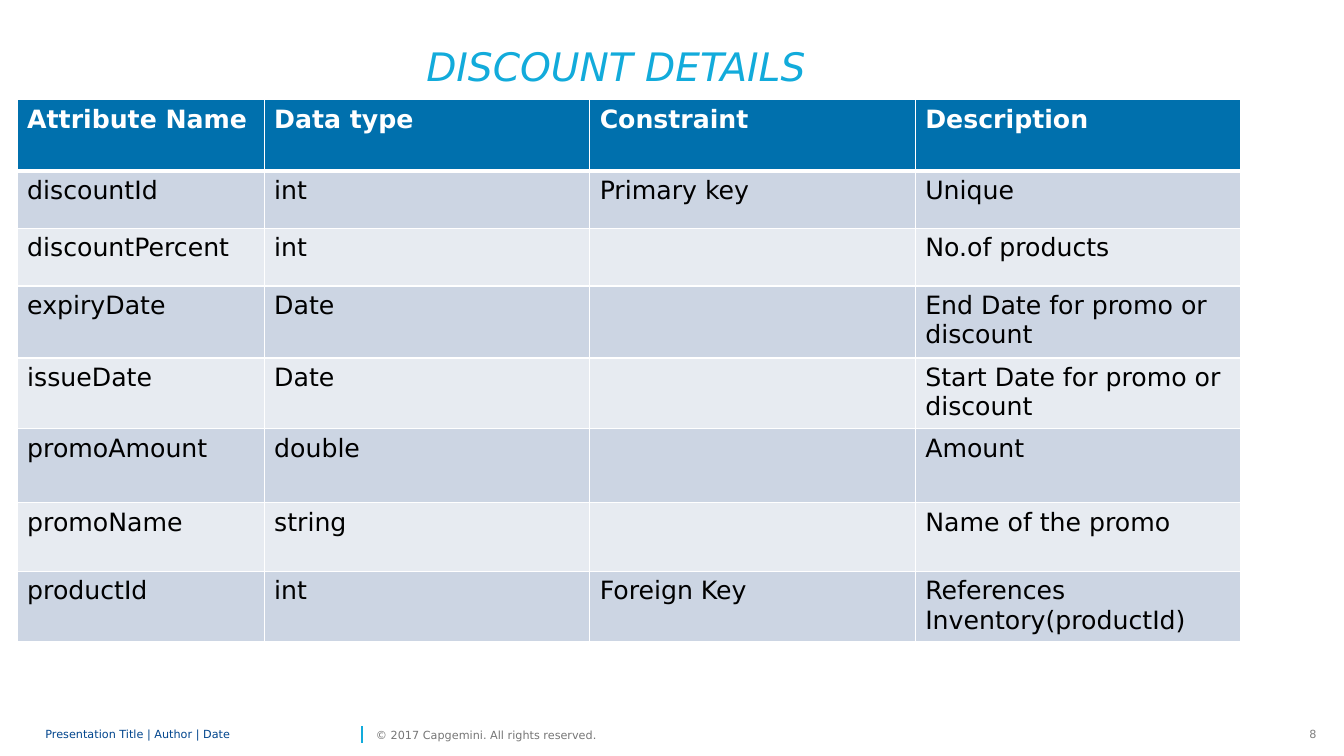
from dataclasses import dataclass, field

from lxml.etree import SubElement
from pptx import Presentation
from pptx.dml.color import RGBColor
from pptx.enum.text import MSO_ANCHOR as Anchor, MSO_AUTO_SIZE as AutoSize, PP_ALIGN as Align
from pptx.oxml import parse_xml
from pptx.oxml.ns import nsdecls, qn
from pptx.slide import Slide
from pptx.table import _Cell as Cell
from pptx.text.text import TextFrame
from pptx.util import Pt

COLORS = {
    "white": "FFFFFF", "black": "000000", "header": "0070AD",
    "band_dark": "CCD5E3", "band_light": "E7EBF1", "accent": "12ABDB",
    "footer": "00458D", "copyright": "767676", "number": "808080",
}
FONT = "DejaVu Sans"
COLUMN_WIDTHS = [176.4] + [232.56] * 3
ROW_HEIGHTS = [51, 41, 41, 51.5, 49.5, 53, 49, 49]
ROWS = [
    ("Attribute Name", "Data type", "Constraint", "Description"),
    ("discountId", "int", "Primary key", "Unique"),
    ("discountPercent", "int", "", "No.of products"),
    ("expiryDate", "Date", "", "End Date for promo or discount"),
    ("issueDate", "Date", "", "Start Date for promo or discount"),
    ("promoAmount", "double", "", "Amount"),
    ("promoName", "string", "", "Name of the promo"),
    ("productId", "int", "Foreign Key", "References Inventory(productId)"),
]


@dataclass
class Label:
    text: str
    bounds: tuple[float, float, float, float]
    color: str
    frame: dict = field(default_factory=dict)
    paragraph: dict = field(default_factory=dict)


NO_INSETS = dict.fromkeys(
    ("margin_left", "margin_top", "margin_right", "margin_bottom"), Pt(0))
FOOTERS = [
    Label("8", (928.08, 516.24, 19.44, 17.28), "number",
          {"word_wrap": False}, {"alignment": Align.RIGHT}),
    Label("Presentation Title | Author | Date", (32.4, 516.24, 222.48, 17.28), "footer",
          {**NO_INSETS, "word_wrap": True, "vertical_anchor": Anchor.MIDDLE},
          {"line_spacing": 0.85}),
    Label("© 2017 Capgemini. All rights reserved.", (268.56, 516.24, 174.96, 17.28),
          "copyright",
          {**NO_INSETS, "word_wrap": False, "vertical_anchor": Anchor.MIDDLE}),
]


def apply(target: object, values: dict) -> None:
    for name, value in values.items():
        setattr(target, name, value)


def write(frame: TextFrame, text: str, color: str, size: float, **font: bool) -> None:
    frame.text = text
    text_font = frame.paragraphs[0].font
    for span in frame.paragraphs[0].runs:
        apply(span.font, {"name": FONT, "size": Pt(size), **font})
        span.font.color.rgb = RGBColor.from_string(COLORS[color])
    apply(text_font, {"name": FONT, "size": Pt(size)})


def add_title(page: Slide) -> None:
    title = page.shapes.title
    apply(title, {"left": Pt(221.76), "top": Pt(41.76),
                  "width": Pt(436.32), "height": Pt(34.56)})
    frame = title.text_frame
    apply(frame, {**NO_INSETS, "word_wrap": True, "auto_size": AutoSize.NONE,
                  "vertical_anchor": Anchor.TOP})
    write(frame, "DISCOUNT DETAILS", "accent", 28, italic=True)
    apply(frame.paragraphs[0], {"alignment": Align.CENTER, "line_spacing": Pt(22),
                                "space_before": Pt(0), "space_after": Pt(6)})


def add_label(page: Slide, label: Label) -> None:
    box = page.shapes.add_textbox(*map(Pt, label.bounds))
    apply(box.text_frame, label.frame)
    write(box.text_frame, label.text, label.color, 8)
    apply(box.text_frame.paragraphs[0], label.paragraph)


def add_divider(page: Slide) -> None:
    line = page.shapes.add_connector(1, Pt(258.48), Pt(530.64), Pt(258.48), Pt(518.4))
    line.line.color.rgb = RGBColor.from_string(COLORS["accent"])
    line.line.width = Pt(1)
    SubElement(line._element.spPr, qn("a:effectLst"))


def set_borders(cell: Cell, widths: dict[str, float]) -> None:
    """Put the border lines ahead of the fill, as the schema requires."""
    properties = cell._tc.get_or_add_tcPr()
    for index, (side, width) in enumerate(widths.items()):
        properties.insert(index, parse_xml(
            f'<a:ln{side} {nsdecls("a")} w="{Pt(width)}"><a:solidFill>'
            f'<a:srgbClr val="{COLORS["white"]}"/></a:solidFill></a:ln{side}>'))


def add_attribute_table(page: Slide) -> None:
    table = page.shapes.add_table(
        len(ROWS), len(COLUMN_WIDTHS), Pt(12.24), Pt(71.28),
        Pt(sum(COLUMN_WIDTHS)), Pt(sum(ROW_HEIGHTS))).table
    for column, width in zip(table.columns, COLUMN_WIDTHS):
        column.width = Pt(width)
    for index, (row, height, texts) in enumerate(zip(table.rows, ROW_HEIGHTS, ROWS)):
        row.height = Pt(height)
        is_header = index == 0
        band = "header" if is_header else "band_dark" if index % 2 else "band_light"
        widths = {"L": 1, "R": 1, "T": 3 if index == 1 else 1, "B": 3 if is_header else 1}
        for cell, text in zip(row.cells, texts):
            cell.fill.solid()
            cell.fill.fore_color.rgb = RGBColor.from_string(COLORS[band])
            set_borders(cell, widths)
            write(cell.text_frame, text, "white" if is_header else "black", 18,
                  bold=is_header)


def main() -> None:
    deck = Presentation()
    apply(deck, {"slide_width": Pt(960), "slide_height": Pt(540)})
    page = deck.slides.add_slide(deck.slide_layouts[5])
    for label in FOOTERS:
        add_label(page, label)
    add_divider(page)
    add_title(page)
    add_attribute_table(page)
    deck.save("out.pptx")


if __name__ == "__main__":
    main()
